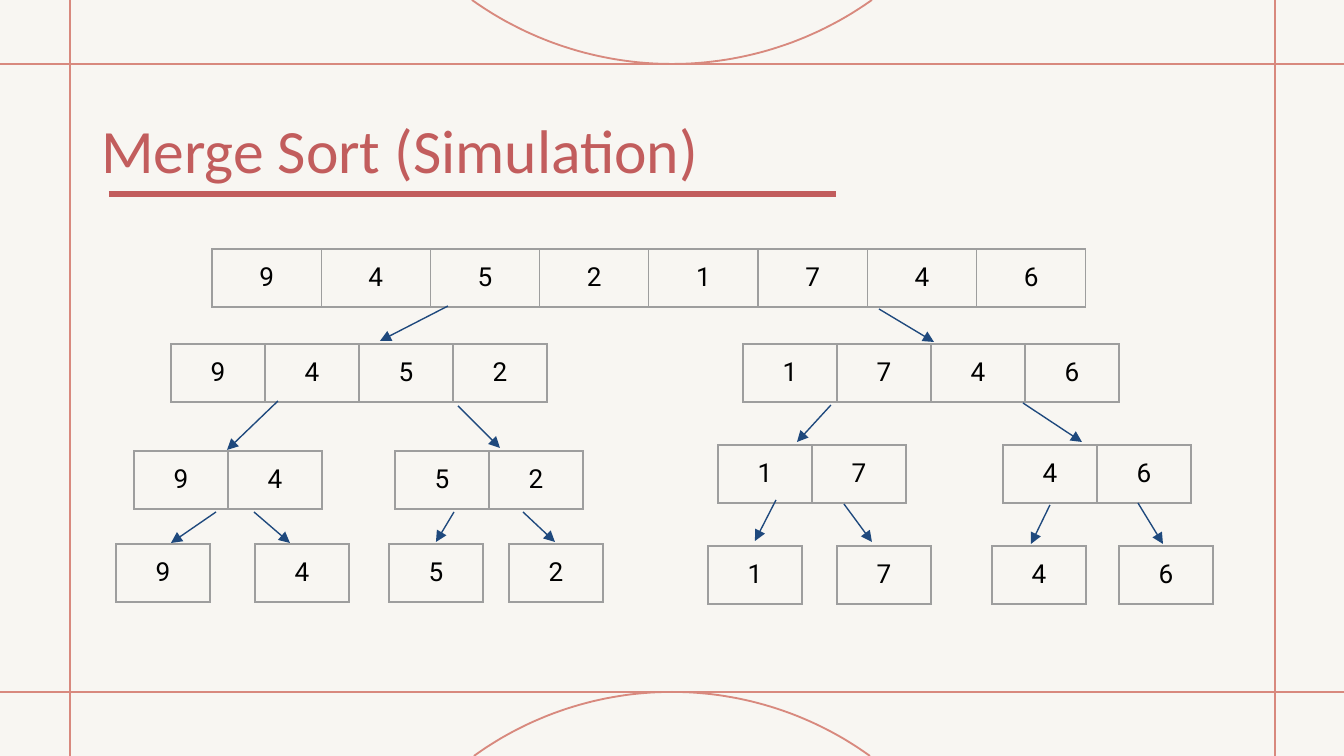
from dataclasses import dataclass

from lxml import etree
from pptx import Presentation
from pptx import util as u
from pptx.dml.color import RGBColor
from pptx.enum import shapes, text
from pptx.oxml.ns import qn

WIDTH, HEIGHT = 1344, 756
EMU_PER_PX = 9144000 / WIDTH
PAPER, FRAME, ACCENT = "F8F6F2", "D8897E", "C25D5D"
GRID, ARROW, INK = "9E9E9E", "1F497D", "000000"
ROW_HEIGHT = 58
CELL_MARGIN = 13
ARC_STEPS = 60


@dataclass
class Array:
    left: int
    top: int
    width: int
    digits: str


@dataclass
class Line:
    x1: int
    y1: int
    x2: int
    y2: int


@dataclass
class Arc:
    half_width: int
    end_y: int
    middle_y: int


# Arrays at each level of the split
ARRAYS = [
    Array(212, 249, 874, "95" and "94521746"),
    Array(171, 344, 376, "9452"),
    Array(743, 344, 376, "1746"),
    Array(134, 451, 188, "94"),
    Array(395, 451, 188, "52"),
    Array(718, 445, 188, "17"),
    Array(1003, 445, 188, "46"),
    Array(116, 544, 94, "9"),
    Array(255, 544, 94, "4"),
    Array(389, 544, 94, "5"),
    Array(509, 544, 94, "2"),
    Array(708, 546, 94, "1"),
    Array(837, 546, 94, "7"),
    Array(992, 546, 94, "4"),
    Array(1119, 546, 94, "6"),
]
ARROWS = [
    Line(448, 306, 380, 341), Line(879, 309, 934, 342),
    Line(278, 401, 227, 450), Line(458, 406, 500, 448),
    Line(831, 405, 797, 442), Line(1023, 403, 1082, 442),
    Line(216, 512, 171, 543), Line(254, 512, 290, 543),
    Line(454, 512, 436, 542), Line(523, 512, 555, 542),
    Line(776, 500, 755, 541), Line(844, 504, 872, 542),
    Line(1050, 505, 1031, 544), Line(1138, 503, 1163, 544),
]
FRAME_LINES = [
    Line(0, 692, WIDTH, 692), Line(0, 64, WIDTH, 64),
    Line(1275, 0, 1275, HEIGHT), Line(70, 0, 70, HEIGHT),
]
ARCS = [Arc(200, 0, 64), Arc(198, HEIGHT, 692)]


def px(length: float) -> u.Emu:
    return u.Emu(round(length * EMU_PER_PX))


def colour(value: str) -> RGBColor:
    return RGBColor.from_string(value)


def add_run(para, words: str, font: str, size: int, value: str) -> None:
    span = para.add_run()
    span.text = words
    span.font.name = font
    span.font.size = u.Pt(size)
    span.font.color.rgb = colour(value)


def draw_line(page, line: Line, value: str, weight: float, arrow: bool = False) -> None:
    connector = page.shapes.add_connector(
        shapes.MSO_CONNECTOR.STRAIGHT,
        px(line.x1), px(line.y1), px(line.x2), px(line.y2))
    connector.line.color.rgb = colour(value)
    connector.line.width = u.Pt(weight)
    if arrow:
        etree.SubElement(connector.line._get_or_add_ln(), qn("a:tailEnd"), type="triangle")
    etree.SubElement(connector._element.spPr, qn("a:effectLst"))


def draw_arc(page, arc: Arc) -> None:
    """Draw a circular arc, centred on the page, from its chord and depth."""
    depth = abs(arc.middle_y - arc.end_y)
    direction = 1 if arc.middle_y > arc.end_y else -1
    radius = (arc.half_width ** 2 + depth ** 2) / (2 * depth)
    centre_y = arc.middle_y - direction * radius
    points = []
    for step in range(ARC_STEPS + 1):
        dx = arc.half_width * (2 * step / ARC_STEPS - 1)
        y = centre_y + direction * (radius ** 2 - dx ** 2) ** 0.5
        points.append((px(WIDTH / 2 + dx), px(y)))
    builder = page.shapes.build_freeform(*points[0])
    builder.add_line_segments(points[1:], close=False)
    curve = builder.convert_to_shape()
    curve.shadow.inherit = False
    curve.fill.background()
    curve.line.color.rgb = colour(FRAME)
    curve.line.width = u.Pt(1)


def set_borders(cell) -> None:
    properties = cell._tc.get_or_add_tcPr()
    for index, side in enumerate(("lnL", "lnR", "lnT", "lnB")):
        border = etree.Element(qn(f"a:{side}"), w=str(u.Pt(0.75)))
        fill = etree.SubElement(border, qn("a:solidFill"))
        etree.SubElement(fill, qn("a:srgbClr"), val=GRID)
        properties.insert(index, border)


def draw_array(page, array: Array) -> None:
    count = len(array.digits)
    table = page.shapes.add_table(
        1, count, px(array.left), px(array.top), px(array.width), px(ROW_HEIGHT)).table
    table.first_row = False
    table.horz_banding = False
    for index, digit in enumerate(array.digits):
        table.columns[index].width = px(array.width / count)
        cell = table.cell(0, index)
        cell.margin_left = cell.margin_right = px(CELL_MARGIN)
        cell.margin_top = cell.margin_bottom = px(CELL_MARGIN)
        cell.fill.background()
        set_borders(cell)
        para = cell.text_frame.paragraphs[0]
        para.alignment = text.PP_ALIGN.CENTER
        add_run(para, digit, "Roboto", 14, INK)


def draw_title(page) -> None:
    title = page.shapes.title
    title.left, title.top = px(101), px(112)
    title.width, title.height = px(735), px(75)
    box = title.text_frame
    box.margin_left = box.margin_right = box.margin_top = box.margin_bottom = 0
    box.auto_size = text.MSO_AUTO_SIZE.NONE
    box.vertical_anchor = text.MSO_ANCHOR.TOP
    box.word_wrap = True
    para = box.paragraphs[0]
    para.alignment = text.PP_ALIGN.LEFT
    add_run(para, "Merge Sort (Simulation)", "Calibri", 33, ACCENT)


def main() -> None:
    deck = Presentation()
    deck.slide_width, deck.slide_height = px(WIDTH), px(HEIGHT)
    page = deck.slides.add_slide(deck.slide_layouts[5])

    # Background and decorative frame
    page.background.fill.solid()
    page.background.fill.fore_color.rgb = colour(PAPER)
    for line in FRAME_LINES:
        draw_line(page, line, FRAME, 1)
    for arc in ARCS:
        draw_arc(page, arc)

    # Title and its underline
    draw_title(page)
    draw_line(page, Line(109, 194, 836, 194), ACCENT, 3)

    # Split tree
    for array in ARRAYS:
        draw_array(page, array)
    for arrow in ARROWS:
        draw_line(page, arrow, ARROW, 0.75, arrow=True)

    deck.save("out.pptx")


if __name__ == "__main__":
    main()
